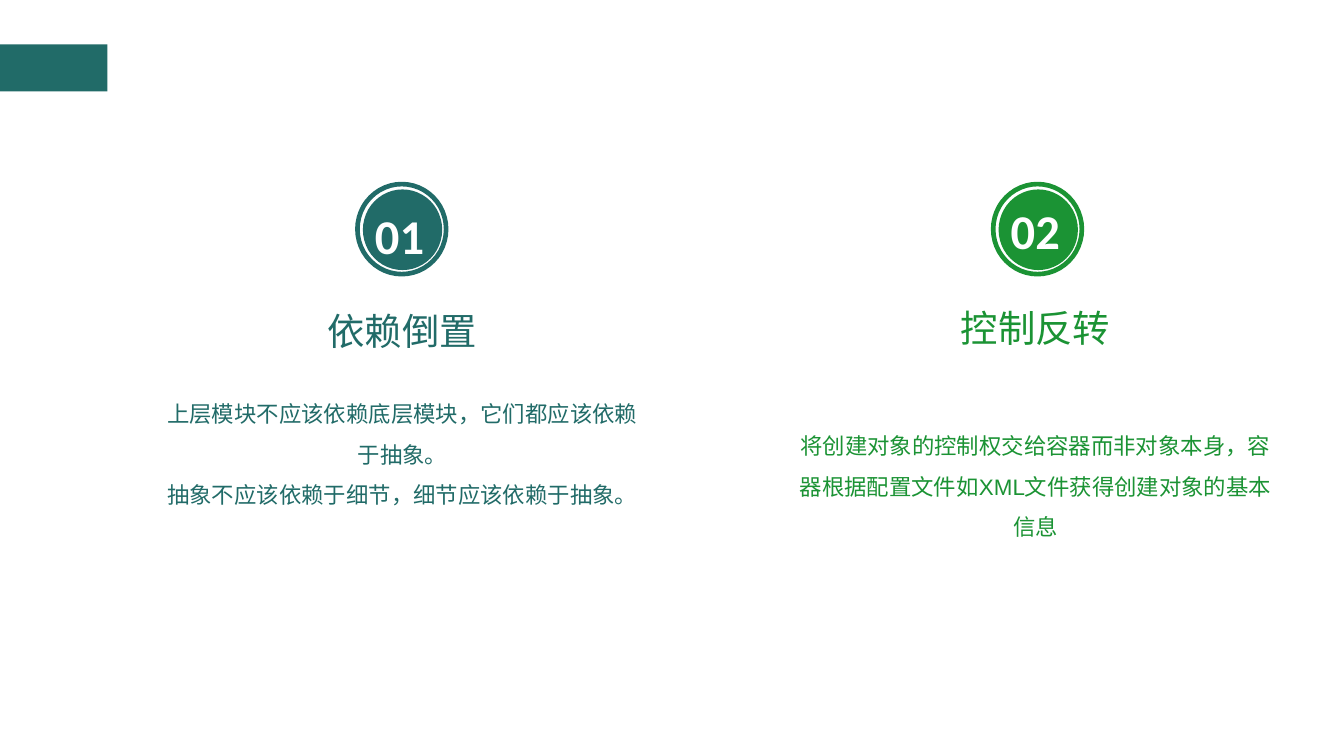
from pptx import Presentation
from pptx.dml.color import RGBColor
from pptx.enum.shapes import MSO_SHAPE
from pptx.enum.text import PP_ALIGN
from pptx.util import Inches, Pt

TEAL, GREEN, WHITE = "216B68", "1B9334", "FFFFFF"


def add_filled(kind, x, y, w, h, fill, line=None):
    sp = s.shapes.add_shape(kind, Inches(x), Inches(y), Inches(w), Inches(h))
    sp.shadow.inherit = False
    sp.fill.solid()
    sp.fill.fore_color.rgb = RGBColor.from_string(fill)
    if line:
        sp.line.color.rgb = RGBColor.from_string(line)
        sp.line.width = Pt(2.5)
    else:
        sp.line.fill.background()


def add_text(p, text, size, color, font="Arial", bold=False,
             align=PP_ALIGN.CENTER, spacing=1.3, before=0):
    p.alignment = align
    p.line_spacing = spacing
    p.space_before = Pt(before)
    r = p.add_run()
    r.text = text
    r.font.name, r.font.size, r.font.bold = font, Pt(size), bold
    r.font.color.rgb = RGBColor.from_string(color)


prs = Presentation()
prs.slide_width = Inches(10)
prs.slide_height = Inches(10 * 9 / 16)
s = prs.slides.add_slide(prs.slide_layouts[6])

# Accent bar
add_filled(MSO_SHAPE.RECTANGLE, 0, 0.33, 0.8, 0.35, TEAL)

# Columns: number, colour, left, text top, text height, number top, gap, heading, body
columns = [
    ("01", TEAL, 1.23, 2.19, 1.61, 1.49, 18.5, "依赖倒置",
     ["上层模块不应该依赖底层模块，它们都应该依赖于抽象。",
      "抽象不应该依赖于细节，细节应该依赖于抽象。"]),
    ("02", GREEN, 5.94, 2.17, 1.87, 1.45, 37, "控制反转",
     ["将创建对象的控制权交给容器而非对象本身，容器根据配置文件如XML文件获得创建对象的基本信息"]),
]
for i, (number, color, x, y, h, number_y, gap, heading, body) in enumerate(columns):
    badge_x = 2.66 + 4.73 * i

    # Round badge
    add_filled(MSO_SHAPE.OVAL, badge_x, 1.37, 0.66, 0.67, WHITE, line=color)
    add_filled(MSO_SHAPE.OVAL, badge_x + 0.04, 1.41, 0.59, 0.6, color)

    # Text frames for the column and the badge number
    frames = []
    for box in ((x, y, 3.53, h), (badge_x + 0.13, number_y, 0.59, 0.48)):
        tf = s.shapes.add_textbox(*map(Inches, box)).text_frame
        tf.word_wrap = True
        tf.margin_left = tf.margin_right = tf.margin_top = tf.margin_bottom = 0
        frames.append(tf)
    tf, number_tf = frames

    # Heading, body and number
    add_text(tf.paragraphs[0], heading, 20, color)
    for j, text in enumerate(body):
        add_text(tf.add_paragraph(), text, 12, color, spacing=1.5,
                 before=0 if j else gap)
    add_text(number_tf.paragraphs[0], number, 26, WHITE, font="Calibri",
             bold=True, align=PP_ALIGN.LEFT, spacing=1.1)

prs.save("out.pptx")
